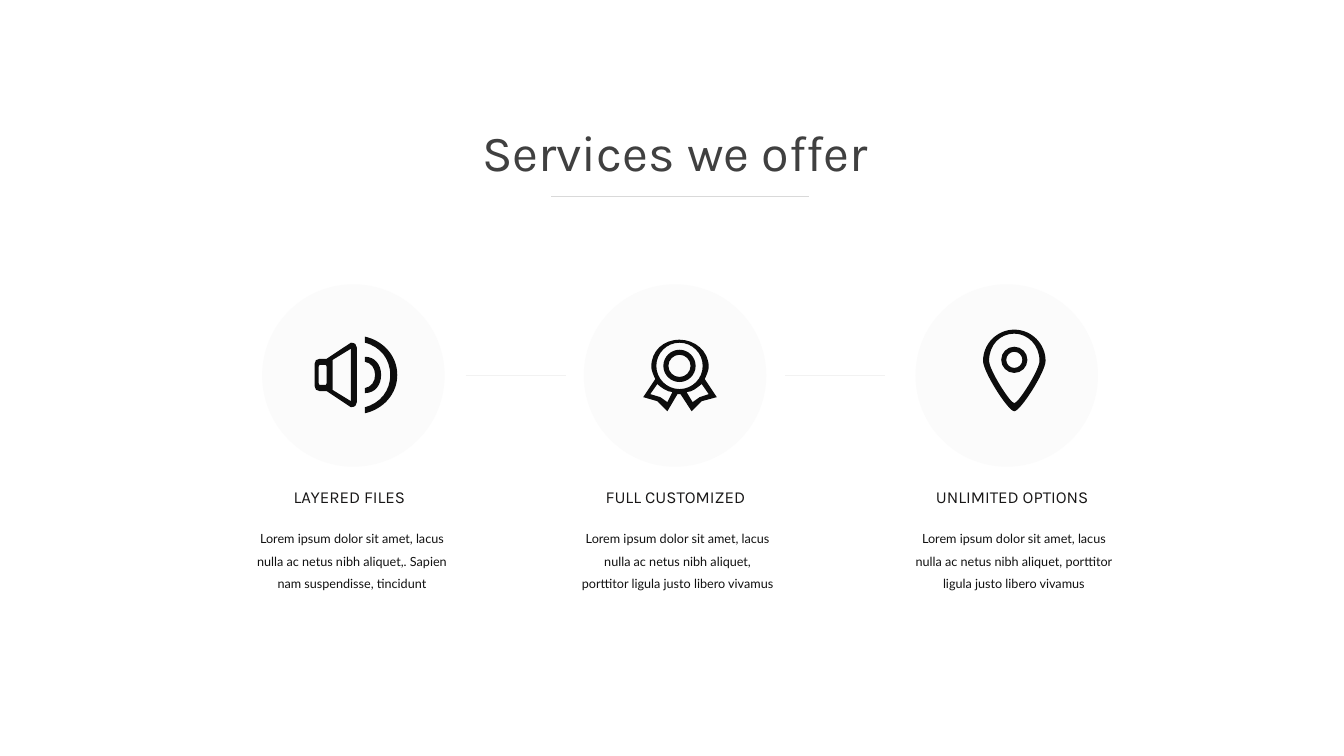
from lxml import etree
from pptx import Presentation
from pptx.dml.color import RGBColor
from pptx.enum.shapes import MSO_CONNECTOR, MSO_SHAPE
from pptx.enum.text import MSO_ANCHOR, MSO_AUTO_SIZE, PP_ALIGN
from pptx.oxml.ns import qn
from pptx.util import Pt

PX = 9144
STRAIGHT = MSO_CONNECTOR.STRAIGHT
OVAL = MSO_SHAPE.OVAL
CENTER = PP_ALIGN.CENTER
TOP, MIDDLE = MSO_ANCHOR.TOP, MSO_ANCHOR.MIDDLE
FIXED, GROW = MSO_AUTO_SIZE.NONE, MSO_AUTO_SIZE.SHAPE_TO_FIT_TEXT

TITLE = RGBColor(0x40, 0x40, 0x40)
HEADING = RGBColor(0x18, 0x17, 0x17)
BODY = RGBColor(0x11, 0x11, 0x11)
ICON = RGBColor(0x0D, 0x0D, 0x0D)
DISC = RGBColor(0xFB, 0xFB, 0xFB)
LINK = RGBColor(0xF2, 0xF2, 0xF2)
RULE = RGBColor(0xD9, 0xD9, 0xD9)

DISC_SIZE, DISC_TOP = 181, 282
LINK_Y = 372


def px(n):
    """Turn px into EMU."""
    return round(n * PX)


def circle(cx, cy, r):
    """Return the contour of a circle as four cubic curves."""
    k = 0.55 * r
    return [
        (cx, cy - r),
        (cx + k, cy - r, cx + r, cy - k, cx + r, cy),
        (cx + r, cy + k, cx + k, cy + r, cx, cy + r),
        (cx - k, cy + r, cx - r, cy + k, cx - r, cy),
        (cx - r, cy - k, cx - k, cy - r, cx, cy - r),
    ]


def speaker():
    """Return the contours of the speaker icon."""
    return [
        [(362, 334), (380, 338, 394, 353, 394, 372), (394, 391, 380, 406, 362, 410),
         (362, 404), (377, 400, 387, 388, 387, 372), (387, 356, 377, 344, 362, 340)],
        [(362, 354), (372, 354, 378, 362, 378, 372), (378, 382, 372, 390, 362, 390),
         (362, 385), (368, 384, 372, 379, 372, 372), (372, 365, 368, 360, 362, 359)],
        [(348, 340), (324, 356), (317, 356), (314, 356, 312, 358, 312, 361),
         (312, 383), (312, 386, 314, 388, 317, 388), (324, 388), (348, 404),
         (352, 404, 354, 402, 354, 399), (354, 345), (354, 342, 352, 340, 348, 340)],
        [(324, 364), (324, 380), (324, 382, 323, 382, 322, 382), (318, 382),
         (317, 382, 316, 382, 316, 380), (316, 364), (316, 362, 317, 362, 318, 362),
         (322, 362), (323, 362, 324, 362, 324, 364)],
        [(348, 346), (330, 357), (330, 387), (348, 398)],
    ]


def medal():
    """Return the contours of the medal icon."""
    cx, cy = 674, 363
    return [
        [(699, 376), (701, 372, 703, 367, 703, 364), (703, 348, 689, 337, cx, 337),
         (658, 337, 646, 348, 646, 364), (646, 367, 648, 372, 650, 376), (638, 394),
         (652, 398), (662, 408), (672, 391), (675, 391), (686, 408), (696, 398), (711, 394)],
        circle(cx, cy, 23),
        circle(cx, cy, 16),
        circle(cx, cy, 11),
        [(662, 399), (655, 394), (645, 391), (652, 381), (655, 384, 662, 389, 667, 389)],
        [(694, 394), (687, 399), (681, 389), (687, 389, 692, 384, 696, 381), (703, 391)],
    ]


def pin():
    """Return the contours of the map pin icon."""
    cx = 1006
    return [
        [(cx, 327), (989, 327, 975, 341, 975, 358), (975, 369, 1000, 408, cx, 408),
         (1012, 408, 1037, 369, 1037, 358), (1037, 341, 1023, 327, cx, 327)],
        [(cx, 400), (1002, 400, 981, 367, 981, 358), (981, 342, 992, 331, cx, 331),
         (1019, 331, 1031, 342, 1031, 358), (1031, 367, 1010, 400, cx, 400)],
        circle(cx, 357, 13),
        circle(cx, 357, 8),
    ]


def bend(sp, contours):
    """Join each three segments that stand for a cubic curve into one."""
    segments = iter(list(sp._element.iter(qn("a:lnTo"))))
    for contour in contours:
        for part in contour[1:]:
            steps = [next(segments) for _ in range(len(part) // 2)]
            if len(steps) == 1:
                continue
            curve = etree.Element(qn("a:cubicBezTo"))
            steps[0].addprevious(curve)
            for step in steps:
                curve.append(step[0])
                step.getparent().remove(step)


def add_icon(s, contours):
    """Draw contours of corners and cubic curves as one outline with holes."""
    builder = None
    for contour in contours:
        points = [(px(part[i]), px(part[i + 1]))
                  for part in contour for i in range(0, len(part), 2)]
        if builder is None:
            builder = s.shapes.build_freeform(*points[0], scale=1)
        else:
            builder.move_to(*points[0])
        builder.add_line_segments(points[1:], close=True)
    sp = builder.convert_to_shape()
    bend(sp, contours)
    fill_shape(sp, ICON)


def fill_shape(sp, color):
    """Give a shape a plain fill without line or shadow."""
    sp.shadow.inherit = False
    sp.fill.solid()
    sp.fill.fore_color.rgb = color
    sp.line.fill.background()


def add_disc(s, left):
    """Draw the pale disc behind an icon."""
    sp = s.shapes.add_shape(OVAL, px(left), px(DISC_TOP), px(DISC_SIZE), px(DISC_SIZE))
    fill_shape(sp, DISC)


def add_rule(s, left, right, y, color, weight):
    """Draw a horizontal line."""
    line = s.shapes.add_connector(STRAIGHT, px(left), px(y), px(right), px(y))
    line.line.color.rgb = color
    line.line.width = Pt(weight)
    etree.SubElement(line._element.spPr, qn("a:effectLst"))


def add_text(s, box, text, font, size, color, spacing=1.0, before=0, anchor=TOP, fit=GROW):
    """Add one centred paragraph in a text box."""
    tf = s.shapes.add_textbox(*map(px, box)).text_frame
    tf.word_wrap = True
    tf.auto_size = fit
    tf.vertical_anchor = anchor
    p = tf.paragraphs[0]
    p.text = text
    p.alignment = CENTER
    p.line_spacing = spacing
    p.space_before = Pt(before)
    p.font.name = font
    p.font.size = Pt(size)
    p.font.color.rgb = color


def main():
    """Build the services slide."""
    prs = Presentation()
    prs.slide_width, prs.slide_height = px(1333), px(750)
    s = prs.slides.add_slide(prs.slide_layouts[6])
    for left in (260, 579, 908):
        add_disc(s, left)
    for left in (462, 779):
        add_rule(s, left, left + 99, LINK_Y, LINK, 0.5)
    add_text(s, (464, 122, 411, 63), "Services we offer", "Karla", 36, TITLE,
             spacing=0.9, before=10, anchor=MIDDLE, fit=FIXED)
    for icon in (speaker(), medal(), pin()):
        add_icon(s, icon)
    lorem = "Lorem ipsum dolor sit amet, lacus nulla ac netus nibh aliquet,"
    ending = " porttitor ligula justo libero vivamus"
    services = [
        ("LAYERED FILES", 277, 139, lorem + ". Sapien nam suspendisse, tincidunt", 242, 214),
        ("UNLIMITED OPTIONS", 909, 190, lorem + ending, 895, 221),
        ("FULL CUSTOMIZED", 581, 178, lorem + ending, 565, 214),
    ]
    for heading, heading_left, heading_width, body, body_left, body_width in services:
        add_text(s, (body_left, 514, body_width, 78), body, "Lato", 9, BODY, spacing=1.5)
        add_text(s, (heading_left, 478, heading_width, 30), heading, "Karla", 12, HEADING)
    add_rule(s, 547, 802, 195, RULE, 0.1)
    prs.save("out.pptx")


if __name__ == "__main__":
    main()
